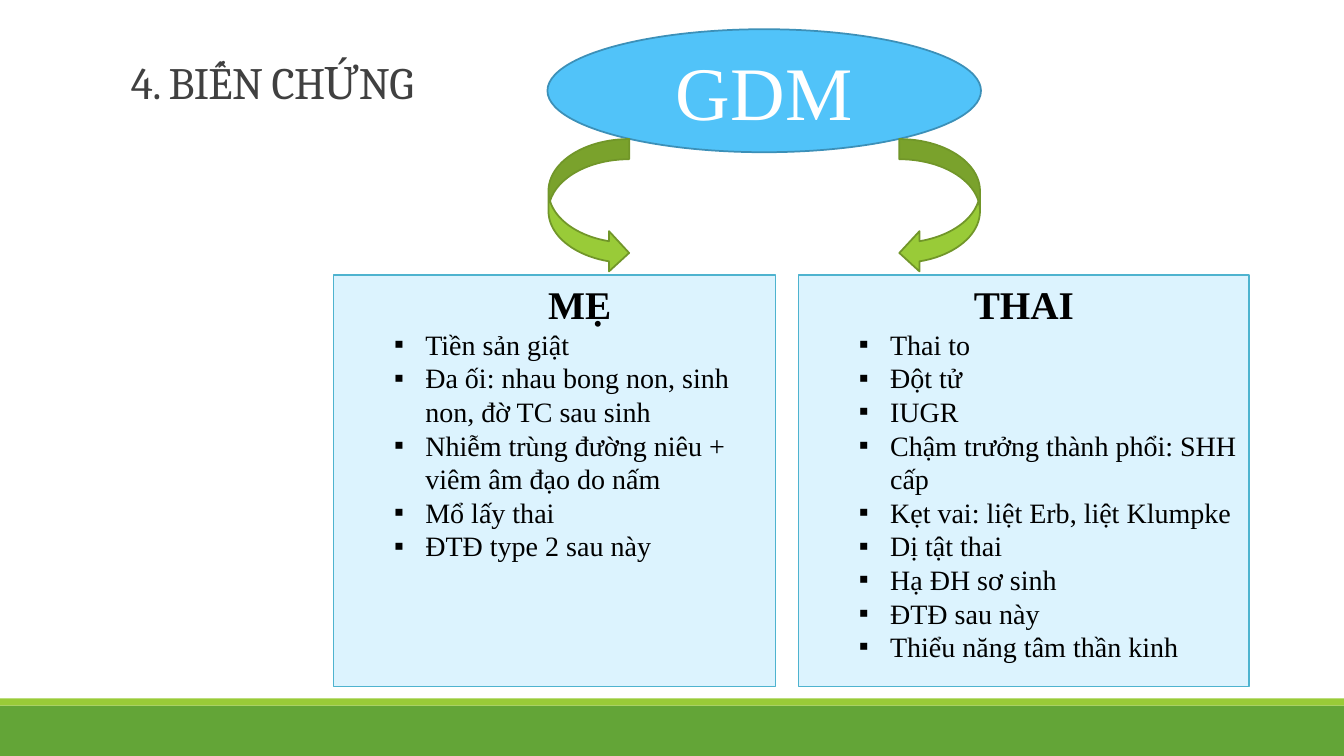
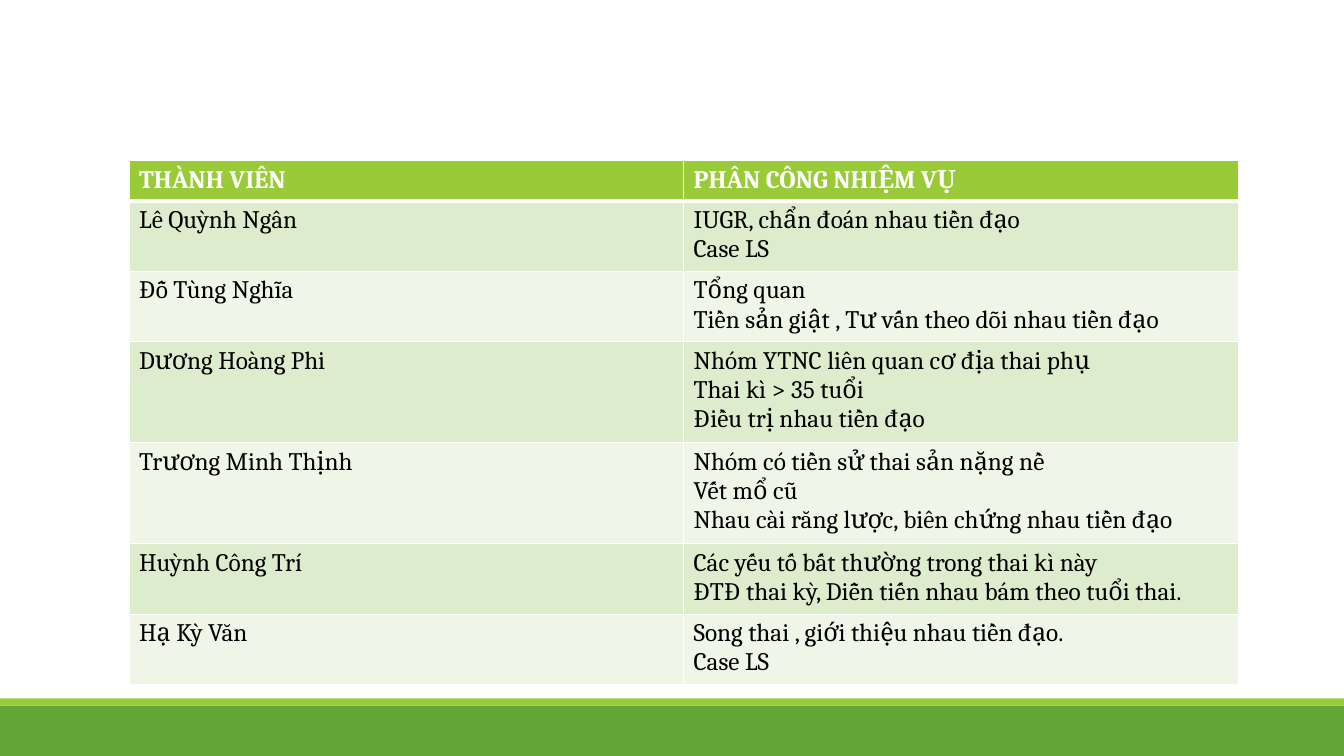
from dataclasses import dataclass

from lxml import etree
from pptx import Presentation
from pptx import util as u
from pptx.dml.color import RGBColor
from pptx.enum import shapes, text
from pptx.oxml.ns import qn


@dataclass(frozen=True)
class Theme:
    band: str = "63A537"
    accent: str = "99CB38"
    arrow_line: str = "719629"
    panel: str = "DCF3FE"
    panel_line: str = "4EB3CF"
    oval: str = "51C3F9"
    oval_line: str = "3C90B8"
    title: str = "404040"
    black: str = "000000"
    white: str = "FFFFFF"
    rows: tuple = ("DEECCE", "EFF6E8")
    title_font: str = "Cambria"
    diagram_font: str = "Times New Roman"
    oval_size: int = 54
    title_size: int = 32
    heading_size: int = 28
    bullet_size: int = 20
    table_size: int = 18


theme = Theme()


def add_shape(slide, kind, box, fill, line=None, width=1):
    shape = slide.shapes.add_shape(kind, *(u.Inches(value) for value in box))
    shape.shadow.inherit = False
    shape.fill.solid()
    shape.fill.fore_color.rgb = RGBColor.from_string(fill)
    if line:
        shape.line.color.rgb = RGBColor.from_string(line)
        shape.line.width = u.Pt(width)
    else:
        shape.line.fill.background()
    return shape


def add_run(paragraph, words, font, size, color, bold=False):
    run = paragraph.add_run()
    run.text = words
    run.font.name = font
    run.font.size = u.Pt(size)
    run.font.bold = bold
    run.font.color.rgb = RGBColor.from_string(color)
    return run


presentation = Presentation()
presentation.slide_width = u.Inches(13.33)
presentation.slide_height = u.Inches(7.5)
blank = presentation.slide_layouts[6]
kinds = shapes.MSO_SHAPE

slides = [presentation.slides.add_slide(blank) for _ in range(2)]
for slide in slides:
    add_shape(slide, kinds.RECTANGLE, (0, 7, 13.33, 0.5), theme.band)
    add_shape(slide, kinds.RECTANGLE, (0, 6.93, 13.33, 0.07), theme.accent)
complications, duties = slides

oval = add_shape(complications, kinds.OVAL, (5.43, 0.29, 4.3, 1.22),
                 theme.oval, theme.oval_line, 1.25)
oval.text_frame.vertical_anchor = text.MSO_ANCHOR.MIDDLE
paragraph = oval.text_frame.paragraphs[0]
paragraph.alignment = text.PP_ALIGN.CENTER
add_run(paragraph, "GDM", theme.diagram_font, theme.oval_size, theme.white)

for kind, left in ((kinds.CURVED_RIGHT_ARROW, 5.44), (kinds.CURVED_LEFT_ARROW, 8.92)):
    add_shape(complications, kind, (left, 1.38, 0.8, 1.33),
              theme.accent, theme.arrow_line, 1.25)

panels = [
    (3.31, 4.38, 0.5, "MẸ", [
        "Tiền sản giật",
        "Đa ối: nhau bong non, sinh non, đờ TC sau sinh",
        "Nhiễm trùng đường niêu + viêm âm đạo do nấm",
        "Mổ lấy thai",
        "ĐTĐ type 2 sau này",
    ]),
    (7.92, 4.47, 0, "THAI", [
        "Thai to",
        "Đột tử",
        "IUGR",
        "Chậm trưởng thành phổi: SHH cấp",
        "Kẹt vai: liệt Erb, liệt Klumpke",
        "Dị tật thai",
        "Hạ ĐH sơ sinh",
        "ĐTĐ sau này",
        "Thiểu năng tâm thần kinh",
    ]),
]
for left, width, heading_indent, heading, bullets in panels:
    panel = add_shape(complications, kinds.RECTANGLE, (left, 2.73, width, 4.08),
                      theme.panel, theme.panel_line)
    frame = panel.text_frame
    frame.vertical_anchor = text.MSO_ANCHOR.TOP
    paragraph = frame.paragraphs[0]
    paragraph.alignment = text.PP_ALIGN.CENTER
    paragraph._p.get_or_add_pPr().set("marL", str(u.Inches(heading_indent)))
    add_run(paragraph, heading, theme.diagram_font, theme.heading_size, theme.black, True)
    for bullet in bullets:
        paragraph = frame.add_paragraph()
        paragraph.level = 1
        paragraph.alignment = text.PP_ALIGN.LEFT
        properties = paragraph._p.get_or_add_pPr()
        properties.set("marL", str(u.Inches(0.81)))
        properties.set("indent", str(u.Inches(-0.31)))
        etree.SubElement(properties, qn("a:buFont")).set("typeface", theme.diagram_font)
        etree.SubElement(properties, qn("a:buChar")).set("char", "▪")
        add_run(paragraph, bullet, theme.diagram_font, theme.bullet_size, theme.black)

title = complications.shapes.add_textbox(
    u.Inches(1.2), u.Inches(0.31), u.Inches(11), u.Inches(1.59))
title.text_frame.word_wrap = True
title.text_frame.vertical_anchor = text.MSO_ANCHOR.MIDDLE
title.text_frame.margin_bottom = u.Inches(0.55)
paragraph = title.text_frame.paragraphs[0]
paragraph.line_spacing = 0.85
run = add_run(paragraph, "4. BIẾN CHỨNG", theme.title_font, theme.title_size, theme.title)
run._r.get_or_add_rPr().set("spc", "-50")

assignments = [
    ("THÀNH VIÊN", ["PHÂN CÔNG NHIỆM VỤ"]),
    ("Lê Quỳnh Ngân", ["IUGR, chẩn đoán nhau tiền đạo", "Case LS"]),
    ("Đỗ Tùng Nghĩa", ["Tổng quan", "Tiền sản giật , Tư vấn theo dõi nhau tiền đạo"]),
    ("Dương Hoàng Phi", ["Nhóm YTNC liên quan cơ địa thai phụ", "Thai kì > 35 tuổi",
                         "Điều trị nhau tiền đạo"]),
    ("Trương Minh Thịnh", ["Nhóm có tiền sử thai sản nặng nề", "Vết mổ cũ",
                           "Nhau cài răng lược, biên chứng nhau tiền đạo"]),
    ("Huỳnh Công Trí", ["Các yếu tố bất thường trong thai kì này",
                        "ĐTĐ thai kỳ, Diễn tiến nhau bám theo tuổi thai."]),
    ("Hạ Kỳ Văn", ["Song thai , giới thiệu nhau tiền đạo.", "Case LS"]),
]
heights = [max(0.4, 0.1 + 0.29 * len(tasks)) for _, tasks in assignments]
table = duties.shapes.add_table(
    len(assignments), 2, u.Inches(1.28), u.Inches(1.59),
    u.Inches(11), u.Inches(sum(heights))).table
for row, (member, tasks) in enumerate(assignments):
    table.rows[row].height = u.Inches(heights[row])
    is_header = row == 0
    for column, lines in enumerate(([member], tasks)):
        cell = table.cell(row, column)
        properties = cell._tc.get_or_add_tcPr()
        for side in ("L", "R", "T", "B"):
            thick = (row, side) in ((0, "B"), (1, "T"))
            border = etree.SubElement(properties, qn(f"a:ln{side}"))
            border.set("w", str(u.Pt(3 if thick else 1)))
            solid = etree.SubElement(border, qn("a:solidFill"))
            etree.SubElement(solid, qn("a:srgbClr")).set("val", theme.white)
        cell.fill.solid()
        fill = theme.accent if is_header else theme.rows[(row - 1) % 2]
        cell.fill.fore_color.rgb = RGBColor.from_string(fill)
        for index, line in enumerate(lines):
            frame = cell.text_frame
            paragraph = frame.add_paragraph() if index else frame.paragraphs[0]
            add_run(paragraph, line, theme.title_font, theme.table_size,
                    theme.white if is_header else theme.black, is_header)

presentation.save("out.pptx")
